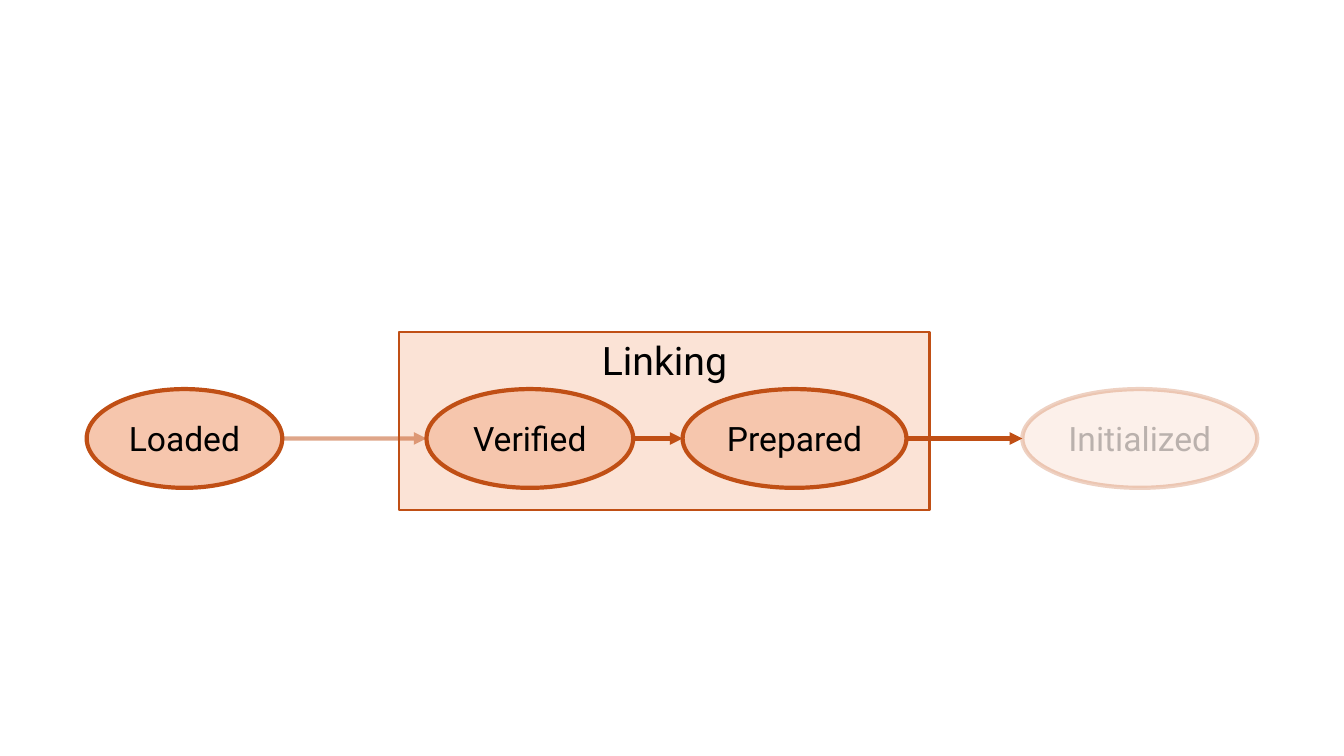
import dataclasses

import pptx
import pptx.dml.color
import pptx.enum.shapes
import pptx.enum.text
import pptx.oxml.ns
import pptx.util

EMU_PER_PX = 9144
SHAPES = pptx.enum.shapes.MSO_SHAPE
ANCHORS = pptx.enum.text.MSO_ANCHOR


@dataclasses.dataclass(frozen=True)
class Theme:
    font: str = "Roboto"
    ink: str = "000000"
    accent: str = "C04F15"
    state_fill: str = "F6C6AD"
    phase_fill: str = "FBE3D6"
    state_size: int = 24
    phase_size: int = 28
    thin: float = 1.5
    thick: float = 3


def px(length):
    return pptx.util.Emu(length * EMU_PER_PX)


def rgb(value):
    return pptx.dml.color.RGBColor.from_string(value)


def set_all(target, values):
    for name, value in values.items():
        setattr(target, name, value)


def add_child(parent, tag, **attributes):
    parent.append(parent.makeelement(pptx.oxml.ns.qn(tag), attributes))


def fade(element, percent):
    """Give every explicit colour inside the element this opacity."""
    if percent < 100:
        for color in element.iter(pptx.oxml.ns.qn("a:srgbClr")):
            add_child(color, "a:alpha", val=str(percent * 1000))


class Diagram:
    def __init__(self, page, theme):
        self.page = page
        self.theme = theme

    def outline(self, line, width):
        line.color.rgb = rgb(self.theme.accent)
        line.width = pptx.util.Pt(width)

    def labelled(self, kind, box, text, fill, width, size, anchor):
        shape = self.page.shapes.add_shape(kind, *map(px, box))
        shape.shadow.inherit = False
        shape.fill.solid()
        shape.fill.fore_color.rgb = rgb(fill)
        self.outline(shape.line, width)
        set_all(shape.text_frame, {
            "word_wrap": True, "vertical_anchor": anchor,
            "margin_left": 0, "margin_right": 0,
        })
        para = shape.text_frame.paragraphs[0]
        para.alignment = pptx.enum.text.PP_ALIGN.CENTER
        span = para.add_run()
        span.text = text
        set_all(span.font, {"name": self.theme.font, "size": pptx.util.Pt(size)})
        span.font.color.rgb = rgb(self.theme.ink)
        return shape

    def phase(self, text, box):
        theme = self.theme
        return self.labelled(SHAPES.RECTANGLE, box, text, theme.phase_fill,
                             theme.thin, theme.phase_size, ANCHORS.TOP)

    def state(self, text, left, width, opacity):
        theme = self.theme
        box = (left, STATE_TOP, width, STATE_HEIGHT)
        shape = self.labelled(SHAPES.OVAL, box, text, theme.state_fill,
                              theme.thick, theme.state_size, ANCHORS.MIDDLE)
        fade(shape.element, opacity)
        return shape

    def transition(self, source, target, opacity):
        """Draw an arrow from the right end of source to the left end of target."""
        middle = source.top + source.height // 2
        arrow = self.page.shapes.add_connector(
            pptx.enum.shapes.MSO_CONNECTOR.STRAIGHT,
            source.left + source.width, middle, target.left, middle)
        self.outline(arrow.line, self.theme.thick)
        line = arrow.element.find(".//" + pptx.oxml.ns.qn("a:ln"))
        add_child(line, "a:tailEnd", type="triangle")
        add_child(line.getparent(), "a:effectLst")
        fade(arrow.element, opacity)


STATE_TOP, STATE_HEIGHT = 386, 98
STATES = [
    ("Loaded", 86, 194, 100),
    ("Verified", 423, 205, 100),
    ("Prepared", 677, 222, 100),
    ("Initialized", 1014, 233, 25),
]
TRANSITION_OPACITIES = [50, 100, 100]


def main():
    deck = pptx.Presentation()
    set_all(deck, {"slide_width": px(1333), "slide_height": px(750)})
    page = deck.slides.add_slide(deck.slide_layouts.get_by_name("Blank"))
    diagram = Diagram(page, Theme())

    diagram.phase("Linking", (396, 329, 526, 177))
    states = [diagram.state(*state) for state in STATES]
    for source, target, opacity in zip(states, states[1:], TRANSITION_OPACITIES):
        diagram.transition(source, target, opacity)

    deck.save("out.pptx")


if __name__ == "__main__":
    main()
